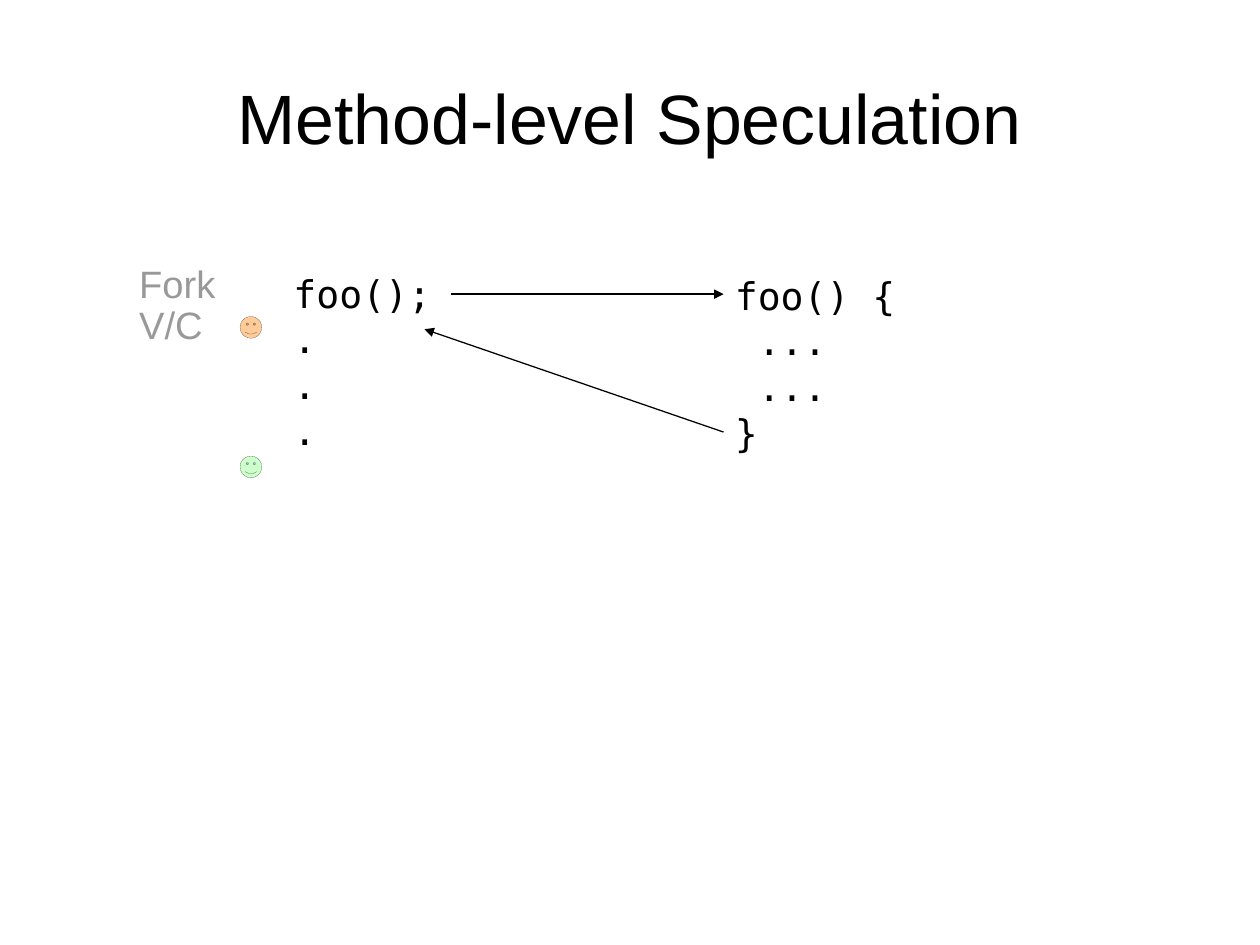
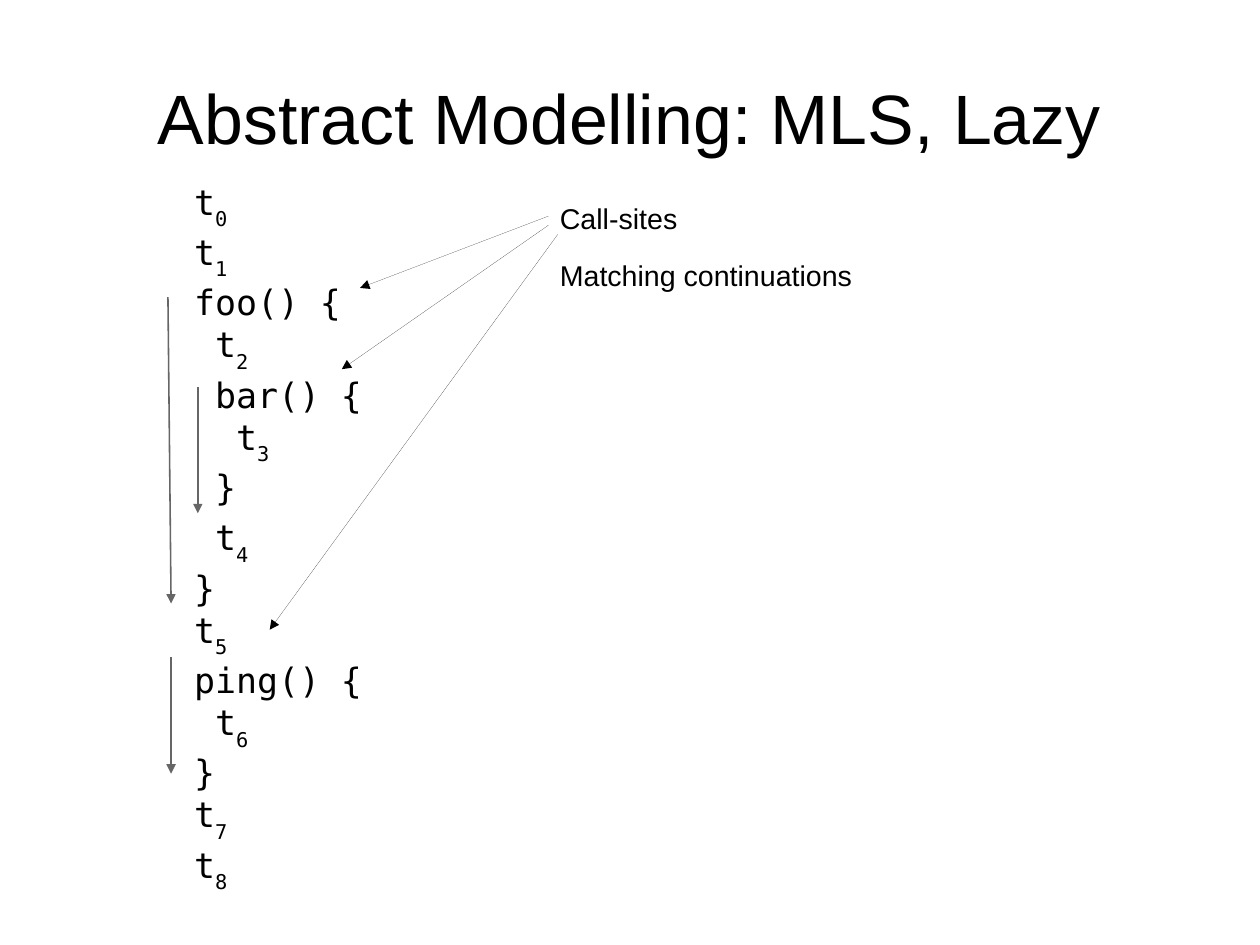
from lxml.etree import SubElement
from pptx import Presentation
from pptx.dml.color import RGBColor
from pptx.enum.shapes import MSO_CONNECTOR as Connector, MSO_SHAPE as Shape
from pptx.enum.text import MSO_ANCHOR as Anchor, PP_ALIGN as Align
from pptx.oxml.ns import qn
from pptx.util import Pt

BLACK = RGBColor(0x00, 0x00, 0x00)
OUTLINE = RGBColor(0x11, 0x11, 0x11)
DARK_GRAY = RGBColor(0x66, 0x66, 0x66)
GRAY = RGBColor(0x99, 0x99, 0x99)
ORANGE = RGBColor(0xFF, 0xCC, 0x99)
GREEN = RGBColor(0xCC, 0xFF, 0xCC)
SANS = "Arial"
MONO = "DejaVu Sans Mono"
WIDTH, HEIGHT = 793.7, 595.3
HAIRLINE = 0.05


class SlideWriter:
    def __init__(self):
        self.deck = Presentation()
        self.deck.slide_width, self.deck.slide_height = Pt(WIDTH), Pt(HEIGHT)
        self.page = None

    def start_page(self, title):
        self.page = self.deck.slides.add_slide(self.deck.slide_layouts[6])
        self.text(title, 39.7, 23.7, 714.3, 99.4, size=44, align=Align.CENTER,
                  anchor=Anchor.MIDDLE, inset=(0, 0))

    def text(self, content, left, top, width, height, size=24, font=SANS,
             color=BLACK, align=Align.LEFT, anchor=Anchor.TOP,
             inset=(7.2, 3.6), gaps=None):
        """Write one paragraph a line; _ starts a subscript.

        gaps maps a line number to the space before it.
        """
        box = self.page.shapes.add_textbox(Pt(left), Pt(top), Pt(width), Pt(height))
        frame = box.text_frame
        frame.word_wrap = True
        frame.vertical_anchor = anchor
        frame.margin_left = frame.margin_right = Pt(inset[0])
        frame.margin_top = frame.margin_bottom = Pt(inset[1])
        for number, line in enumerate(content.split("\n")):
            para = frame.add_paragraph() if number else frame.paragraphs[0]
            para.alignment = align
            if gaps and number in gaps:
                para.space_before = Pt(gaps[number])
            for level, part in enumerate(line.split("_")):
                span = para.add_run()
                span.text = part
                span.font.size = Pt(size)
                span.font.name = font
                span.font.color.rgb = color
                if level:
                    span._r.get_or_add_rPr().set("baseline", "-33000")

    def arrow(self, start, end, color=BLACK, weight=HAIRLINE):
        line = self.page.shapes.add_connector(
            Connector.STRAIGHT, *(Pt(value) for value in (*start, *end)))
        line.line.color.rgb = color
        line.line.width = Pt(weight)
        SubElement(line.line._get_or_add_ln(), qn("a:tailEnd"), type="triangle")
        SubElement(line._element.spPr, qn("a:effectLst"))

    def smiley(self, left, top, color, size=13.7):
        face = self.page.shapes.add_shape(
            Shape.SMILEY_FACE, Pt(left), Pt(top), Pt(size), Pt(size))
        face.shadow.inherit = False
        face.fill.solid()
        face.fill.fore_color.rgb = color
        face.line.color.rgb = OUTLINE
        face.line.width = Pt(HAIRLINE)


def add_speculation_page(writer):
    writer.start_page("Method-level Speculation")
    writer.text("foo();\n.\n.\n.", 177.8, 166.6, 253.4, 130, font=MONO)
    writer.text("foo() {\n ...\n ...\n}", 455.8, 167.8, 253.4, 144.7, font=MONO)
    for row, label in enumerate(("Fork", "V/C")):
        writer.text(label, 80.6, 160.6 + 25.9 * row, 66, 34, color=GRAY)
    for top, color in ((199.4, ORANGE), (287.3, GREEN)):
        writer.smiley(151.2, top, color)
    writer.arrow((283.9, 185.3), (455.8, 185.3), weight=0.79)
    writer.arrow((455.8, 272.2), (267.4, 207.4), weight=0.79)


def add_modelling_page(writer):
    writer.start_page("Abstract Modelling: MLS, Lazy")
    code = ("t_0\nt_1\nfoo() {\n t_2\n bar() {\n  t_3\n }\n t_4\n}\n"
            "t_5\nping() {\n t_6\n}\nt_7\nt_8")
    writer.text(code, 115.2, 109.9, 265, 470, size=22, font=MONO, gaps={7: 5.3})
    for row, label in enumerate(("Call-sites", "Matching continuations")):
        writer.text(label, 345.6, 123.1 + 35.7 * row, 260.6, 33.8, size=18)
    for start, end in (((345.6, 136.1), (226.8, 181.4)),
                       ((345.6, 141.8), (215.3, 232.6)),
                       ((351.4, 147.6), (169.9, 396.7))):
        writer.arrow(start, end)
    for start, end in (((105.8, 187.2), (107.8, 380.2)),
                       ((124.6, 244.1), (124.6, 323.3)),
                       ((107.8, 414), (107.8, 487.4))):
        writer.arrow(start, end, color=DARK_GRAY, weight=1)


def main():
    writer = SlideWriter()
    add_speculation_page(writer)
    add_modelling_page(writer)
    writer.deck.save("out.pptx")


if __name__ == "__main__":
    main()
